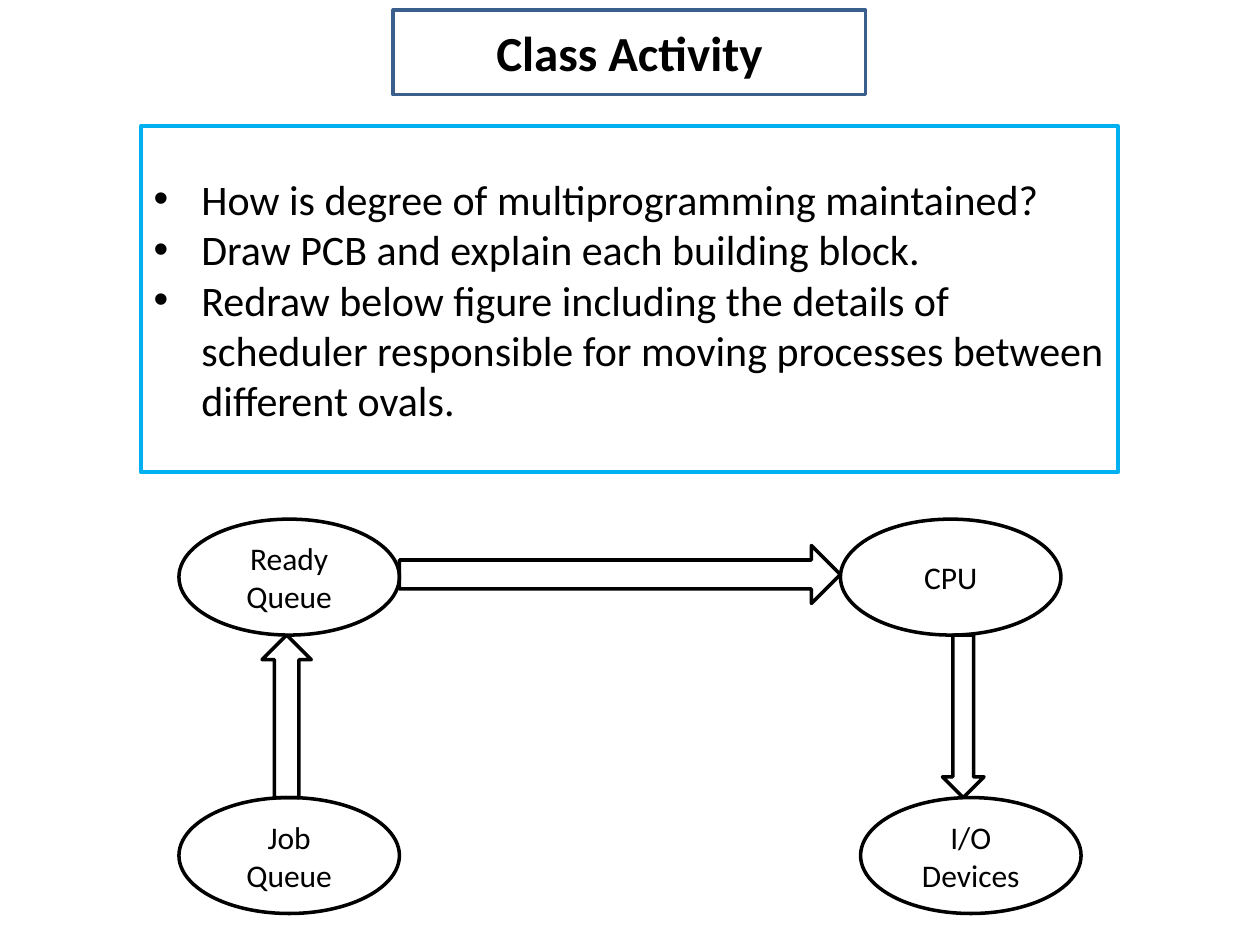
from dataclasses import dataclass

import pptx
import pptx.dml.color
import pptx.enum.shapes
import pptx.enum.text
import pptx.oxml.xmlchemy
import pptx.util
from lxml import etree
from pptx.oxml.ns import qn

Inches = pptx.util.Inches
Pt = pptx.util.Pt
RGB = pptx.dml.color.RGBColor
Kind = pptx.enum.shapes.MSO_SHAPE
Align = pptx.enum.text.PP_ALIGN
Anchor = pptx.enum.text.MSO_ANCHOR

BLACK = RGB(0x00, 0x00, 0x00)
SKY = RGB(0x00, 0xB0, 0xF0)
NAVY = RGB(0x3A, 0x5F, 0x8C)
FONT = "Calibri"

OVAL_W, OVAL_H = 1.75, 0.92
LEFT, TOP, LOW = 1.42, 4.12, 6.33
GAP = LOW - TOP - OVAL_H  # height of the vertical arrows


@dataclass
class Oval:
    text: str
    x: float
    y: float


@dataclass
class Arrow:
    kind: Kind
    x: float
    y: float
    w: float
    h: float
    turn: float = 0


OVALS = [
    Oval("Ready Queue", LEFT, TOP),
    Oval("CPU", 6.67, TOP),
    Oval("I/O Devices", 6.83, LOW),
    Oval("Job Queue", LEFT, LOW),
]
ARROWS = [
    Arrow(Kind.RIGHT_ARROW, LEFT + OVAL_W, 4.33, 3.5, 0.46),
    Arrow(Kind.DOWN_ARROW, 7.48, TOP + OVAL_H, 0.33, GAP),
    Arrow(Kind.DOWN_ARROW, 2.08, TOP + OVAL_H, 0.39, GAP, 180),
]
TASKS = [
    "How is degree of multiprogramming maintained?",
    "Draw PCB and explain each building block.",
    "Redraw below figure including the details of scheduler responsible "
    "for moving processes between different ovals.",
]


def outline(shape, color: RGB, width: float) -> None:
    shape.fill.background()
    shape.line.color.rgb = color
    shape.line.width = Pt(width)


def add_shape(slide, kind: Kind, x: float, y: float, w: float, h: float,
              color: RGB = BLACK, width: float = 2):
    shape = slide.shapes.add_shape(kind, Inches(x), Inches(y), Inches(w), Inches(h))
    shape.shadow.inherit = False
    outline(shape, color, width)
    return shape


def write(shape, lines: list[str], size: float, align: Align, bold: bool = False) -> None:
    frame = shape.text_frame
    frame.word_wrap = True
    frame.auto_size = pptx.enum.text.MSO_AUTO_SIZE.NONE
    frame.vertical_anchor = Anchor.MIDDLE
    for i, line in enumerate(lines):
        para = frame.add_paragraph() if i else frame.paragraphs[0]
        para.alignment = align
        run = para.add_run()
        run.text = line
        run.font.name = FONT
        run.font.size = Pt(size)
        run.font.bold = bold
        run.font.color.rgb = BLACK


def add_bullet(para) -> None:
    props = para._p.get_or_add_pPr()
    props.set("marL", str(Inches(0.38)))
    props.set("indent", str(-Inches(0.38)))
    etree.SubElement(props, qn("a:buFont")).set("typeface", "Arial")
    etree.SubElement(props, qn("a:buChar")).set("char", "•")


def main() -> None:
    deck = pptx.Presentation()
    deck.slide_width, deck.slide_height = Inches(10), Inches(7.5)
    slide = deck.slides.add_slide(deck.slide_layouts[5])

    # Title
    title = slide.shapes.title
    title.left, title.top = Inches(3.12), Inches(0.08)
    title.width, title.height = Inches(3.75), Inches(0.67)
    outline(title, NAVY, 2)
    write(title, ["Class Activity"], 28, Align.CENTER, bold=True)

    # Task list
    box = add_shape(slide, Kind.RECTANGLE, 1.12, 1, 7.75, 2.75, SKY, 2.25)
    write(box, TASKS, 24, Align.LEFT)
    for para in box.text_frame.paragraphs:
        add_bullet(para)

    # Process flow
    for oval in OVALS:
        shape = add_shape(slide, Kind.OVAL, oval.x, oval.y, OVAL_W, OVAL_H)
        write(shape, [oval.text], 18, Align.CENTER)
    for arrow in ARROWS:
        shape = add_shape(slide, arrow.kind, arrow.x, arrow.y, arrow.w, arrow.h)
        shape.rotation = arrow.turn

    deck.save("out.pptx")


if __name__ == "__main__":
    main()
